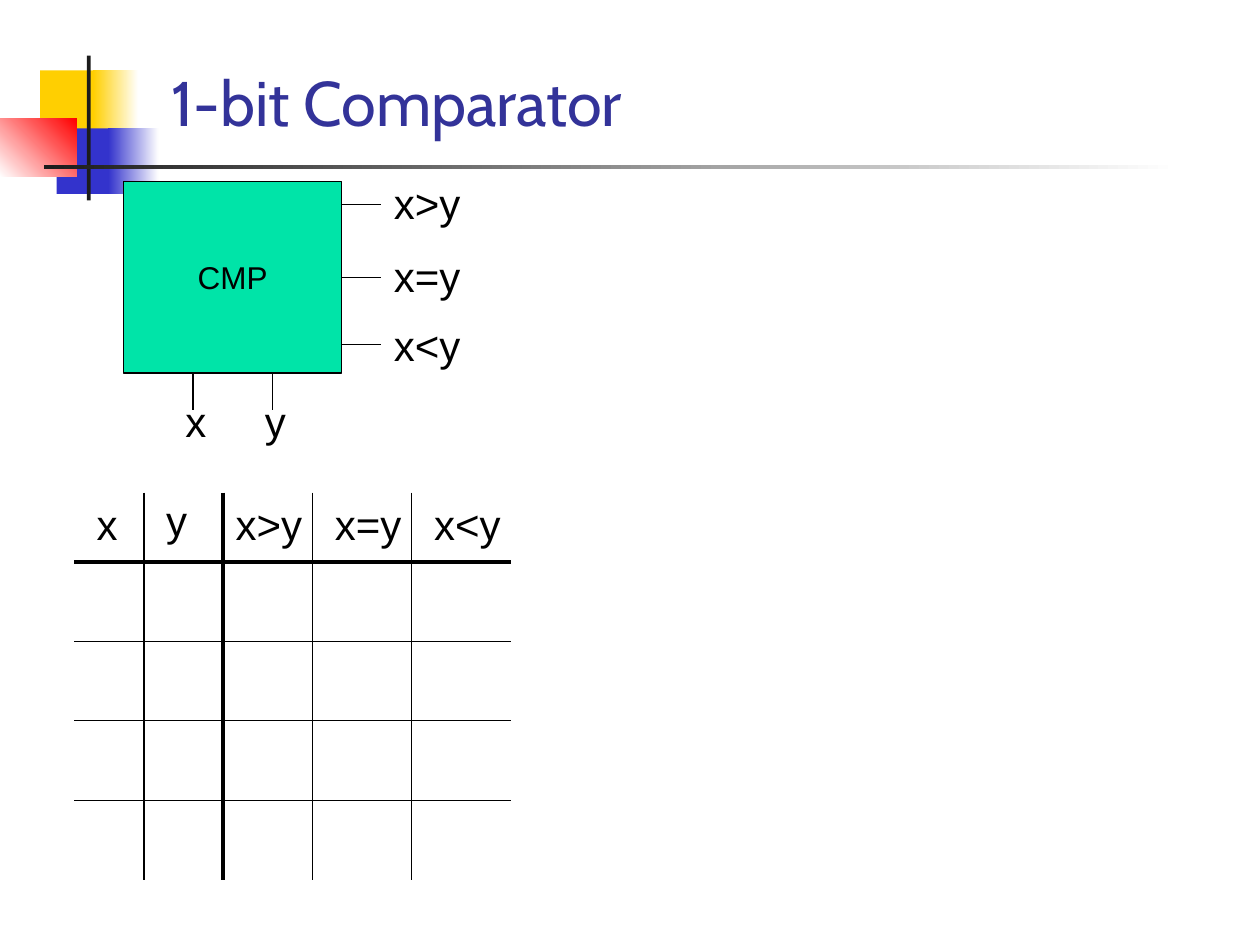
import pptx
import pptx.util
import pptx.dml.color
import pptx.enum.shapes
import pptx.enum.text
import pptx.oxml

Cm = pptx.util.Cm
Pt = pptx.util.Pt
RGBColor = pptx.dml.color.RGBColor
Align = pptx.enum.text.PP_ALIGN
Anchor = pptx.enum.text.MSO_ANCHOR
AutoSize = pptx.enum.text.MSO_AUTO_SIZE

BLACK = RGBColor(0x00, 0x00, 0x00)
WHITE = RGBColor(0xFF, 0xFF, 0xFF)
YELLOW = RGBColor(0xFF, 0xCF, 0x01)
BLUE = RGBColor(0x33, 0x33, 0xCC)
RED = RGBColor(0xFF, 0x00, 0x00)
CHARCOAL = RGBColor(0x1C, 0x1C, 0x1C)
INDIGO = RGBColor(0x33, 0x33, 0x99)
GREEN = RGBColor(0x00, 0xE4, 0xA8)

COMPARISONS = ("x>y", "x=y", "x<y")
THIN, THICK = 0.75, 2.25
LABEL_HEIGHT = 1.27


def write_text(frame, text, size=24, font="Arial", color=BLACK,
               align=Align.LEFT, anchor=Anchor.TOP, wrap=True):
    """Write one formatted paragraph into a text frame."""
    frame.word_wrap = wrap
    frame.vertical_anchor = anchor
    paragraph = frame.paragraphs[0]
    paragraph.alignment = align
    run = paragraph.add_run()
    run.text = text
    run.font.size = Pt(size)
    run.font.name = font
    run.font.color.rgb = color


def add_label(slide, text, left, top, width):
    """Add a signal name in a box that fits its text."""
    label = slide.shapes.add_textbox(Cm(left), Cm(top), Cm(width), Cm(LABEL_HEIGHT))
    write_text(label.text_frame, text)
    label.text_frame.auto_size = AutoSize.SHAPE_TO_FIT_TEXT


def add_line(slide, x1, y1, x2, y2, weight=THIN):
    """Add a straight black line without a shadow."""
    line = slide.shapes.add_connector(
        pptx.enum.shapes.MSO_CONNECTOR.STRAIGHT, Cm(x1), Cm(y1), Cm(x2), Cm(y2))
    line.line.color.rgb = BLACK
    line.line.width = Pt(weight)
    properties = line._element.spPr
    properties.append(pptx.oxml.parse_xml(
        '<a:effectLst xmlns:a="http://schemas.openxmlformats.org/drawingml/2006/main"/>'))
    return line


def add_block(slide, left, top, width, height, *colors, angle=0):
    """Add a borderless rectangle in one colour or a two-colour gradient."""
    block = slide.shapes.add_shape(
        pptx.enum.shapes.MSO_SHAPE.RECTANGLE, Cm(left), Cm(top), Cm(width), Cm(height))
    block.shadow.inherit = False
    block.line.fill.background()
    if len(colors) == 1:
        block.fill.solid()
        block.fill.fore_color.rgb = colors[0]
    else:
        block.fill.gradient()
        block.fill.gradient_angle = angle
        for stop, color in zip(block.fill.gradient_stops, colors):
            stop.color.rgb = color
    return block


def add_ornament(slide, left, top):
    """Draw the coloured squares and the crossing rules."""
    add_block(slide, left + 0.81, top + 0.3, 1.22, 1.32, YELLOW)
    add_block(slide, left + 1.88, top + 0.3, 0.91, 1.32, YELLOW, WHITE)
    add_block(slide, left + 1.14, top + 1.47, 1.17, 1.32, BLUE)
    add_block(slide, left + 2.18, top + 1.47, 1.02, 1.32, BLUE, WHITE)
    add_block(slide, left, top + 1.27, 1.55, 1.17, WHITE, RED, angle=45)
    add_block(slide, left + 1.75, top, 0.08, 2.92, CHARCOAL)
    add_block(slide, left + 0.89, top + 2.21, 22.86, 0.08, CHARCOAL, WHITE)


def add_title(slide, left, top, width, height):
    """Add the slide title at the bottom of its box."""
    title = slide.shapes.add_textbox(Cm(left), Cm(top), Cm(width), Cm(height))
    write_text(title.text_frame, "1-bit Comparator", size=36, font="Cabin",
               color=INDIGO, anchor=Anchor.BOTTOM)


def add_comparator(slide, left, top, width, height):
    """Draw the comparator block with its inputs and outputs."""
    comparator = add_block(slide, left, top, width, height, GREEN)
    comparator.line.color.rgb = BLACK
    comparator.line.width = Pt(THIN)
    write_text(comparator.text_frame, "CMP", size=18, align=Align.CENTER,
               anchor=Anchor.MIDDLE, wrap=False)

    for name, offset in (("x", 1.4), ("y", 3.0)):
        x = left + offset
        add_line(slide, x, top + height, x, top + height + 0.74)
        add_label(slide, name, x - 0.4, top + height + 0.33, 0.8)

    right = left + width
    wire_end = right + 0.8
    outputs = zip(COMPARISONS, (0.46, height / 2, 3.28), (-0.21, 1.27, 2.66))
    for name, wire_offset, label_offset in outputs:
        y = top + wire_offset
        wire = add_line(slide, right, y, wire_end, y)
        if wire_offset == height / 2:
            wire.begin_connect(comparator, 3)
        add_label(slide, name, wire_end, top + label_offset, 2)


def add_truth_table(slide, left, top, width, height):
    """Draw the open ruled truth table with its column headings."""
    header, rows = 1.4, 4
    row_height = (height - header) / rows
    for row in range(rows):
        y = top + header + row * row_height
        add_line(slide, left, y, left + width, y, THIN if row else THICK)
    for offset, weight in ((1.4, THIN), (3.0, THICK), (4.8, THIN), (6.8, THIN)):
        x = left + offset
        add_line(slide, x, top, x, top + height, weight)

    add_label(slide, "x", left + 0.2, top, 1)
    add_label(slide, "y", left + 1.6, top - 0.08, 1)
    for column, name in enumerate(COMPARISONS):
        add_label(slide, name, left + 3 + 2 * column, top, 2)


def main():
    """Build and save the slide."""
    presentation = pptx.Presentation()
    presentation.slide_width = Cm(25.4)
    presentation.slide_height = Cm(19.05)
    slide = presentation.slides.add_slide(presentation.slide_layouts[6])
    add_ornament(slide, 0, 1.12)
    add_title(slide, 3.2, 0.58, 21.64, 2.34)
    add_comparator(slide, 2.49, 3.66, 4.4, 3.86)
    add_truth_table(slide, 1.5, 9.93, 8.81, 7.8)
    presentation.save("out.pptx")


if __name__ == "__main__":
    main()
